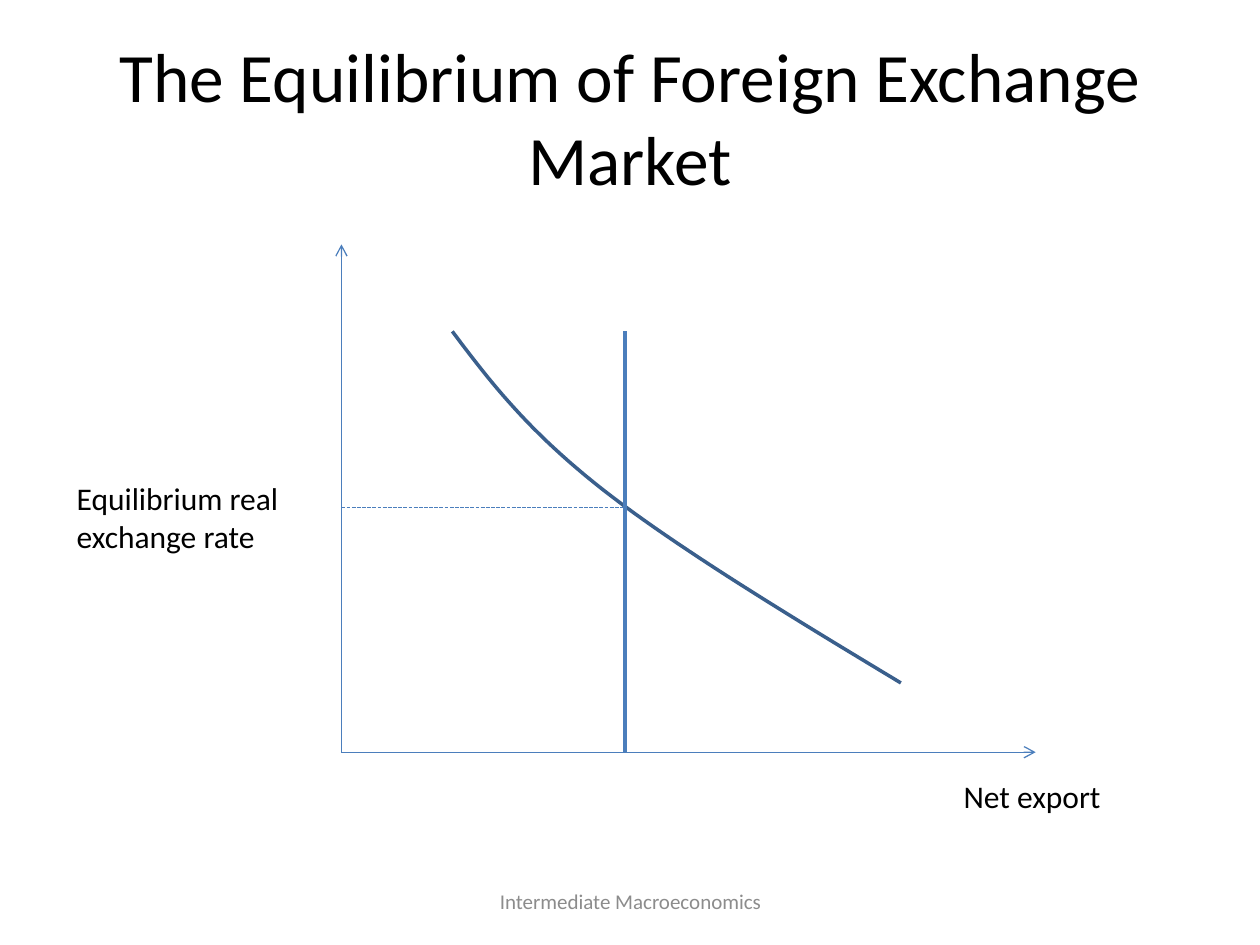
from lxml import etree
from pptx import Presentation
from pptx.dml.color import RGBColor
from pptx.enum.dml import MSO_LINE
from pptx.enum.shapes import MSO_CONNECTOR
from pptx.enum.text import MSO_ANCHOR, PP_ALIGN
from pptx.oxml.ns import qn
from pptx.util import Inches, Pt

BLACK = RGBColor(0x00, 0x00, 0x00)
GRAY = RGBColor(0x8C, 0x8C, 0x8C)
BLUE = RGBColor(0x4B, 0x7E, 0xBC)
NAVY = RGBColor(0x3A, 0x5F, 0x8C)
STRAIGHT = MSO_CONNECTOR.STRAIGHT
DASH = MSO_LINE.SQUARE_DOT
LEFT, CENTER = PP_ALIGN.LEFT, PP_ALIGN.CENTER
TOP, MIDDLE = MSO_ANCHOR.TOP, MSO_ANCHOR.MIDDLE

LEFT_X, BASE_Y = 2.71, 5.97
EQ_X, EQ_Y = 4.96, 4.03
CURVE_TOP = 2.63
DEMAND = [
    [(3.59, CURVE_TOP), (3.89, 3.03), (4.19, 3.42), (4.79, 3.89)],
    [(4.79, 3.89), (5.38, 4.35), (6.27, 4.89), (7.15, 5.42)],
]


def bezier(ends, steps=24):
    """Return the points of a cubic curve after its start."""
    points = []
    for step in range(1, steps + 1):
        t = step / steps
        parts = ((1 - t) ** 3, 3 * t * (1 - t) ** 2, 3 * t * t * (1 - t), t ** 3)
        points.append(tuple(
            Inches(sum(part * end[axis] for part, end in zip(parts, ends)))
            for axis in (0, 1)))
    return points


class Board:
    """Draw styled elements on the current slide."""

    font = "Calibri"

    def __init__(self, slide):
        self.shapes = slide.shapes

    def fill_text(self, shape, text, size, color, align, anchor):
        frame = shape.text_frame
        frame.word_wrap = True
        frame.vertical_anchor = anchor
        para = frame.paragraphs[0]
        para.alignment = align
        run = para.add_run()
        run.text = text
        run.font.name = self.font
        run.font.size = Pt(size)
        run.font.color.rgb = color

    def title(self, text, left, top, width, height):
        shape = self.shapes.title
        shape.left, shape.top = Inches(left), Inches(top)
        shape.width, shape.height = Inches(width), Inches(height)
        self.fill_text(shape, text, 39.6, BLACK, CENTER, MIDDLE)

    def label(self, text, left, top, width, height,
              size=18, color=BLACK, align=LEFT, anchor=TOP):
        box = self.shapes.add_textbox(
            Inches(left), Inches(top), Inches(width), Inches(height))
        self.fill_text(box, text, size, color, align, anchor)

    def line(self, start, end, width=0.75, dash=None, arrow=False):
        link = self.shapes.add_connector(
            STRAIGHT, *(Inches(value) for value in (*start, *end)))
        link.line.color.rgb = BLUE
        link.line.width = Pt(width)
        if dash:
            link.line.dash_style = dash
        props = link._element.spPr
        if arrow:
            etree.SubElement(props.get_or_add_ln(), qn("a:tailEnd"), type="arrow")
        etree.SubElement(props, qn("a:effectLst"))

    def curve(self, pieces):
        x, y = pieces[0][0]
        trace = self.shapes.build_freeform(Inches(x), Inches(y))
        for piece in pieces:
            trace.add_line_segments(bezier(piece), close=False)
        shape = trace.convert_to_shape()
        shape.shadow.inherit = False
        shape.fill.background()
        shape.line.color.rgb = NAVY
        shape.line.width = Pt(2)


def main():
    deck = Presentation()
    deck.slide_width, deck.slide_height = Inches(10), Inches(7.5)
    board = Board(deck.slides.add_slide(deck.slide_layouts[5]))
    board.title("The Equilibrium of Foreign Exchange Market", 0.5, 0.3, 9, 1.25)
    board.label("Intermediate Macroeconomics", 3.42, 6.95, 3.17, 0.4,
                12, GRAY, CENTER, MIDDLE)
    origin = (LEFT_X, BASE_Y)
    board.line(origin, (8.22, BASE_Y), arrow=True)
    board.line(origin, (LEFT_X, 1.94), arrow=True)
    board.label("Net export", 7.55, 6.12, 1.93, 0.4)
    board.curve(DEMAND)
    board.line((LEFT_X, EQ_Y), (EQ_X, EQ_Y), dash=DASH)
    board.line((EQ_X, CURVE_TOP), (EQ_X, BASE_Y), width=2)
    board.label("Equilibrium real exchange rate", 0.51, 3.75, 2.05, 0.71)
    deck.save("out.pptx")


if __name__ == "__main__":
    main()
